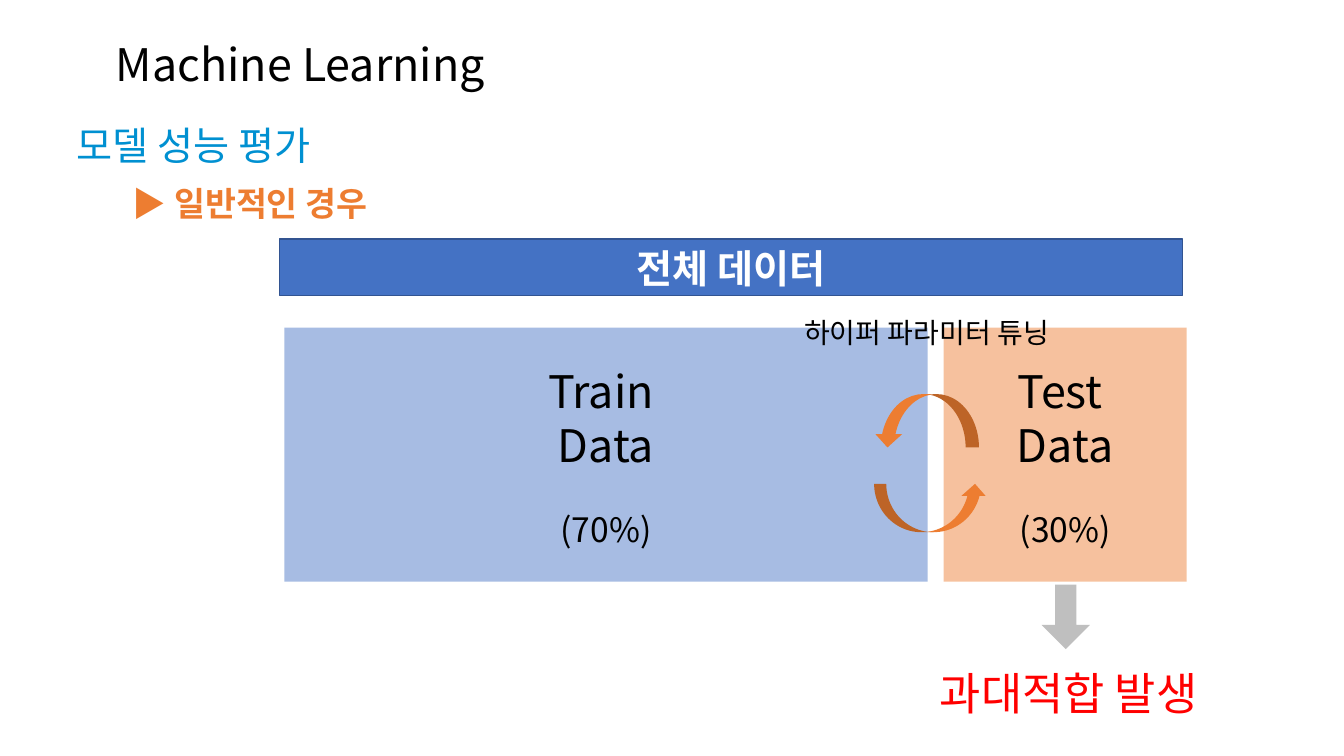
from dataclasses import dataclass

from lxml.etree import SubElement
from pptx import Presentation
from pptx.dml.color import RGBColor
from pptx.enum.shapes import MSO_SHAPE
from pptx.enum.text import MSO_ANCHOR, MSO_AUTO_SIZE, PP_ALIGN
from pptx.oxml.ns import qn
from pptx.util import Inches, Pt


@dataclass(frozen=True)
class Theme:
    font: str = "Noto Sans CJK KR"
    black: str = "000000"
    white: str = "FFFFFF"
    blue: str = "4472C4"
    blue_edge: str = "325491"
    orange: str = "ED7D31"
    gray: str = "BFBFBF"
    red: str = "FF0000"
    sky: str = "0090D1"
    large: int = 32
    heading: int = 28
    medium: int = 24
    small: int = 20
    line_height: float = 1.25
    block_line_height: float = 1.18
    block_opacity: int = 47


THEME = Theme()

TITLE = ("모델 성능 평가", (0.66, 1.07, 11.5, 0.72))
WHOLE_DATA = ("전체 데이터", (2.77, 2.37, 8.96, 0.56))

# text, box, size, colour, bold, alignment, wrap
LABELS = [
    ("과대적합 발생", (9.04, 6.53, 3.12, 0.64), THEME.large, THEME.red, False, PP_ALIGN.CENTER, True),
    ("▶ 일반적인 경우", (1.22, 1.75, 6.18, 0.51), THEME.medium, THEME.orange, True, PP_ALIGN.LEFT, True),
    ("하이퍼 파라미터 튜닝", (7.16, 3.07, 4.06, 0.44), THEME.small, THEME.black, False, PP_ALIGN.CENTER, True),
    ("Machine Learning", (1.05, 0.29, 4.02, 0.64), THEME.large, THEME.black, False, PP_ALIGN.LEFT, False),
]

# name, share, left, width, colour
SPLITS = [
    ("Train ", "(70%)", 2.82, 6.38, THEME.blue),
    ("Test ", "(30%)", 9.36, 2.41, THEME.orange),
]
SPLIT_TOP, SPLIT_HEIGHT = 3.25, 2.52

# preset, box, colour, mirrored
ARROWS = [
    (MSO_SHAPE.DOWN_ARROW, (10.33, 5.8, 0.48, 0.64), THEME.gray, False),
    (MSO_SHAPE.CURVED_UP_ARROW, (8.67, 4.8, 1.12, 0.48), THEME.orange, False),
    (MSO_SHAPE.CURVED_DOWN_ARROW, (8.67, 3.91, 1.04, 0.53), THEME.orange, True),
]


def inches(box):
    return [Inches(value) for value in box]


def format_paragraph(paragraph, text, size, color, bold=False,
                     alignment=PP_ALIGN.CENTER, line_height=THEME.line_height):
    paragraph.text = text
    paragraph.alignment = alignment
    paragraph.line_spacing = Pt(round(size * line_height))
    font = paragraph.runs[0].font
    font.color.rgb = RGBColor.from_string(color)
    for name, value in {"name": THEME.font, "size": Pt(size), "bold": bold}.items():
        setattr(font, name, value)
    east_asian = SubElement(font._element, qn("a:ea"))
    east_asian.set("typeface", THEME.font)


def add_filled_shape(slide, preset, box, color, edge=None):
    shape = slide.shapes.add_shape(preset, *inches(box))
    shape.shadow.inherit = False
    shape.fill.solid()
    shape.fill.fore_color.rgb = RGBColor.from_string(color)
    if edge:
        shape.line.color.rgb = RGBColor.from_string(edge)
        shape.line.width = Pt(1)
    else:
        shape.line.fill.background()
    return shape


def set_opacity(shape, percent):
    color = shape.element.spPr.find(qn("a:solidFill"))[0]
    SubElement(color, qn("a:alpha")).set("val", str(percent * 1000))


def add_title(slide):
    text, box = TITLE
    title = slide.shapes.title
    title.left, title.top, title.width, title.height = inches(box)
    frame = title.text_frame
    frame.vertical_anchor = MSO_ANCHOR.MIDDLE
    frame.auto_size = MSO_AUTO_SIZE.NONE
    format_paragraph(frame.paragraphs[0], text, THEME.heading, THEME.sky,
                     alignment=PP_ALIGN.LEFT)


def add_splits(slide):
    for name, share, left, width, color in SPLITS:
        block = add_filled_shape(slide, MSO_SHAPE.RECTANGLE,
                                 (left, SPLIT_TOP, width, SPLIT_HEIGHT), color)
        set_opacity(block, THEME.block_opacity)
        frame = block.text_frame
        frame.vertical_anchor = MSO_ANCHOR.MIDDLE
        frame.margin_top = Inches(0.1)
        lines = [(name, THEME.large), ("Data", THEME.large), (share, THEME.medium)]
        for index, (text, size) in enumerate(lines):
            paragraph = frame.add_paragraph() if index else frame.paragraphs[0]
            format_paragraph(paragraph, text, size, THEME.black,
                             line_height=THEME.block_line_height)
        paragraph.space_before = Pt(28)


def add_whole_data_bar(slide):
    text, box = WHOLE_DATA
    bar = add_filled_shape(slide, MSO_SHAPE.RECTANGLE, box, THEME.blue, THEME.blue_edge)
    bar.text_frame.vertical_anchor = MSO_ANCHOR.MIDDLE
    format_paragraph(bar.text_frame.paragraphs[0], text, THEME.heading, THEME.white, bold=True)


def add_arrows(slide):
    for preset, box, color, mirrored in ARROWS:
        arrow = add_filled_shape(slide, preset, box, color)
        if preset == MSO_SHAPE.DOWN_ARROW:
            arrow.adjustments[0] = 0.44
        if mirrored:
            arrow.element.spPr.get_or_add_xfrm().set("flipH", "1")


def add_labels(slide):
    for text, box, size, color, bold, alignment, wrap in LABELS:
        frame = slide.shapes.add_textbox(*inches(box)).text_frame
        frame.word_wrap = wrap
        format_paragraph(frame.paragraphs[0], text, size, color, bold, alignment)


def main():
    presentation = Presentation()
    presentation.slide_width = Inches(13.33)
    presentation.slide_height = Inches(7.5)
    slide = presentation.slides.add_slide(presentation.slide_layouts[5])
    for add_part in (add_title, add_splits, add_whole_data_bar, add_arrows, add_labels):
        add_part(slide)
    presentation.save("out.pptx")


if __name__ == "__main__":
    main()
